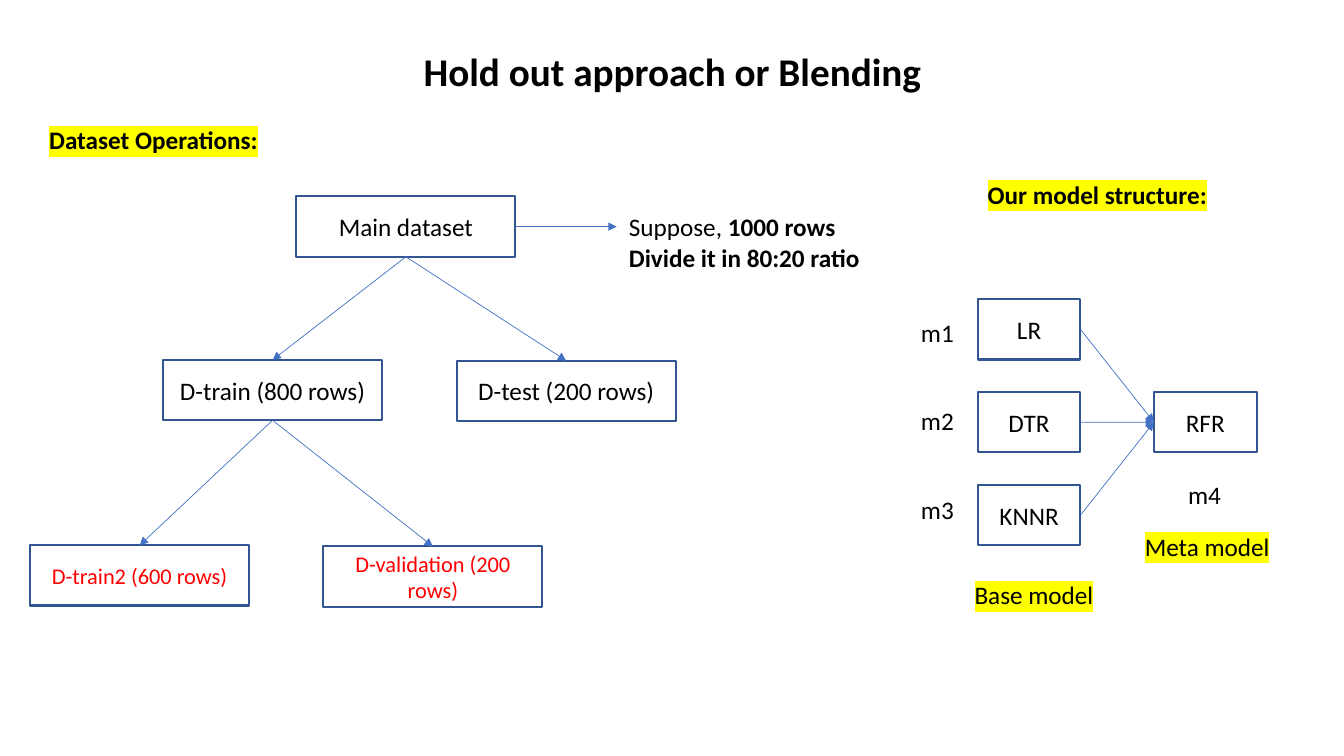
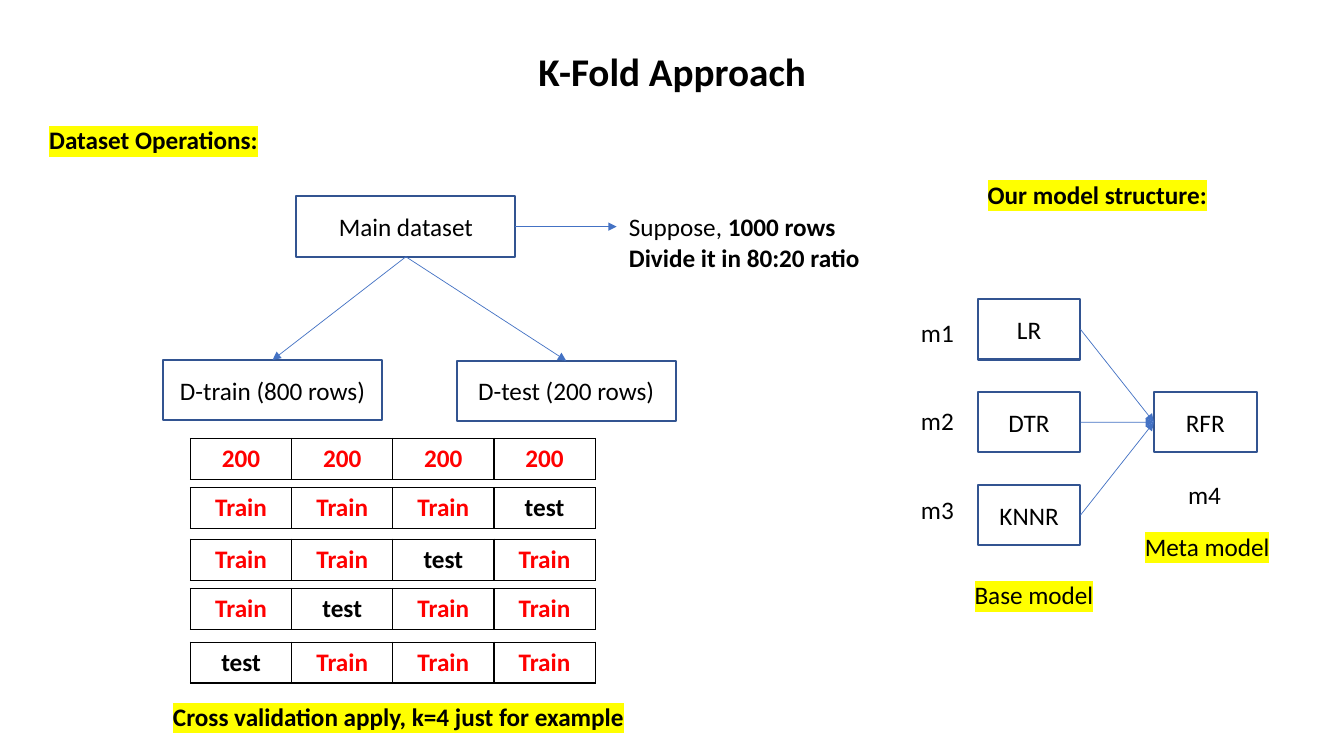
from dataclasses import dataclass

from lxml import etree
from pptx import Presentation
from pptx.dml.color import RGBColor
from pptx.enum import shapes, text
from pptx.oxml import ns
from pptx.util import Cm, Pt


@dataclass(frozen=True)
class Theme:
    font: str = "Calibri"
    ink: str = "000000"
    red: str = "FF0000"
    marker: str = "FFFF00"
    outline: str = "325491"
    arrow: str = "4472C4"
    title: int = 28
    body: int = 18
    small: int = 16


theme = Theme()
BOX_WIDTH, BOX_HEIGHT = 5.52, 1.52
MODEL_WIDTH, LABEL_HEIGHT = 2.59, 1.02
TOP, LEFT, BOTTOM, RIGHT = range(4)  # connection sites of a rectangle


def place(slide, words, left, top, width, height=LABEL_HEIGHT, size=theme.body,
          color=theme.ink, bold=False, marked=False, boxed=False):
    """Add a text label, or an outlined box with centred text."""
    frame = Cm(left), Cm(top), Cm(width), Cm(height)
    if boxed:
        shape = slide.shapes.add_shape(shapes.MSO_SHAPE.RECTANGLE, *frame)
        shape.shadow.inherit = False
        shape.fill.background()
        shape.line.color.rgb = RGBColor.from_string(theme.outline)
        shape.line.width = Pt(1.5)
        shape.text_frame.vertical_anchor = text.MSO_ANCHOR.MIDDLE
    else:
        shape = slide.shapes.add_textbox(*frame)
        shape.text_frame.auto_size = text.MSO_AUTO_SIZE.SHAPE_TO_FIT_TEXT
    shape.text_frame.word_wrap = boxed
    shape.text_frame.text = words
    for paragraph in shape.text_frame.paragraphs:
        paragraph.alignment = text.PP_ALIGN.CENTER if boxed else text.PP_ALIGN.LEFT
        paragraph.font.name = theme.font
        paragraph.font.size = Pt(size)
        paragraph.font.bold = bold
        paragraph.font.color.rgb = RGBColor.from_string(color)
        if marked:
            properties = paragraph.runs[0].font._element
            highlight = etree.SubElement(properties, ns.qn("a:highlight"))
            etree.SubElement(highlight, ns.qn("a:srgbClr"), val=theme.marker)
    return shape


def connect(slide, start, start_site, end=None, end_site=TOP):
    """Add an arrow glued to its start and, if given, to its end."""
    connector = slide.shapes.add_connector(
        shapes.MSO_CONNECTOR.STRAIGHT, start.left, start.top, start.left, start.top)
    connector.begin_connect(start, start_site)
    if end is not None:
        connector.end_connect(end, end_site)
    connector.line.color.rgb = RGBColor.from_string(theme.arrow)
    connector.line.width = Pt(0.5)
    etree.SubElement(connector.line._get_or_add_ln(), ns.qn("a:tailEnd"), type="triangle")
    etree.SubElement(connector._element.spPr, ns.qn("a:effectLst"))
    return connector


presentation = Presentation()
presentation.slide_width, presentation.slide_height = Cm(33.87), Cm(19.05)

# Parts shared by both slides
slides, train_boxes = [], []
for title in ("Hold out approach or Blending", "K-Fold Approach"):
    slide = presentation.slides.add_slide(presentation.slide_layouts[6])
    slides.append(slide)

    # Title and headings
    heading = place(slide, title, 4.24, 0.99, 25.4, 1.52, theme.title, bold=True)
    heading.text_frame.auto_size = text.MSO_AUTO_SIZE.NONE
    heading.text_frame.word_wrap = True
    heading.text_frame.vertical_anchor = text.MSO_ANCHOR.BOTTOM
    heading.text_frame.paragraphs[0].alignment = text.PP_ALIGN.CENTER
    heading.text_frame.paragraphs[0].line_spacing = 0.9
    place(slide, "Dataset Operations:", 0.99, 3.02, 5.82, bold=True, marked=True)
    place(slide, "Our model structure:", 24.64, 4.39, 6.07, bold=True, marked=True)

    # Dataset split
    main = place(slide, "Main dataset", 7.47, 4.95, BOX_WIDTH, BOX_HEIGHT, boxed=True)
    train = place(slide, "D-train (800 rows)", 4.11, 9.07, BOX_WIDTH, BOX_HEIGHT, boxed=True)
    test = place(slide, "D-test (200 rows)", 11.51, 9.09, BOX_WIDTH, BOX_HEIGHT, boxed=True)
    train_boxes.append(train)
    connect(slide, main, BOTTOM, train)
    connect(slide, main, BOTTOM, test)

    # Note beside the main dataset
    note = place(slide, "Suppose, \nDivide it in 80:20 ratio", 15.6, 5.21, 6.38, 1.8, bold=True)
    first_line = note.text_frame.paragraphs[0]
    first_line.runs[0].font.bold = False
    first_line.add_run().text = "1000 rows"
    pointer = connect(slide, main, RIGHT)
    pointer.end_x, pointer.end_y = Cm(15.54), pointer.begin_y

    # Base models feeding the meta model
    meta = place(slide, "RFR", 29.08, 9.88, MODEL_WIDTH, BOX_HEIGHT, boxed=True)
    for index, name in enumerate(("LR", "DTR", "KNNR")):
        model = place(slide, name, 24.64, 7.54 + 2.34 * index, MODEL_WIDTH, BOX_HEIGHT, boxed=True)
        place(slide, f"m{index + 1}", 22.96, 7.87 + 2.23 * index, 1.35)
        connect(slide, model, RIGHT, meta, LEFT)
    place(slide, "m4", 29.69, 11.96, 1.35)
    place(slide, "Base model", 24.31, 14.48, 3.53, marked=True)
    place(slide, "Meta model", 28.6, 13.26, 3.68, marked=True)

hold_out, k_fold = slides

# Hold out: second split of the training rows
for words, left, top in (("D-train2 (600 rows)", 0.76, 13.74),
                         ("D-validation (200 rows)", 8.15, 13.77)):
    part = place(hold_out, words, left, top, BOX_WIDTH, BOX_HEIGHT,
                 theme.small, theme.red, boxed=True)
    connect(hold_out, train_boxes[0], BOTTOM, part)

# K-fold: row counts, then one strip per fold with the test part moving left
FOLDS = 4
strips = [["200"] * FOLDS]
for fold in range(FOLDS):
    strips.append(["test" if column == FOLDS - 1 - fold else "Train" for column in range(FOLDS)])

for top, strip in zip((11.05, 12.29, 13.59, 14.83, 16.18), strips):
    table = k_fold.shapes.add_table(1, FOLDS, Cm(4.8), Cm(top), Cm(10.2), Cm(1.03)).table
    table.first_row = table.horz_banding = False
    for cell, words in zip(table.iter_cells(), strip):
        cell.text = words
        cell.fill.background()
        paragraph = cell.text_frame.paragraphs[0]
        paragraph.alignment = text.PP_ALIGN.CENTER
        paragraph.font.name = theme.font
        paragraph.font.size = Pt(theme.body)
        paragraph.font.bold = True
        paragraph.font.color.rgb = RGBColor.from_string(
            theme.ink if words == "test" else theme.red)
        properties = cell._tc.get_or_add_tcPr()
        for position, side in enumerate(("lnL", "lnR", "lnT", "lnB")):
            border = etree.Element(ns.qn(f"a:{side}"), w=str(Pt(1)))
            fill = etree.SubElement(border, ns.qn("a:solidFill"))
            etree.SubElement(fill, ns.qn("a:srgbClr"), val=theme.ink)
            properties.insert(position, border)

place(k_fold, "Cross validation apply, k=4 just for example", 4.11, 17.55, 11.96,
      bold=True, marked=True)

presentation.save("out.pptx")
